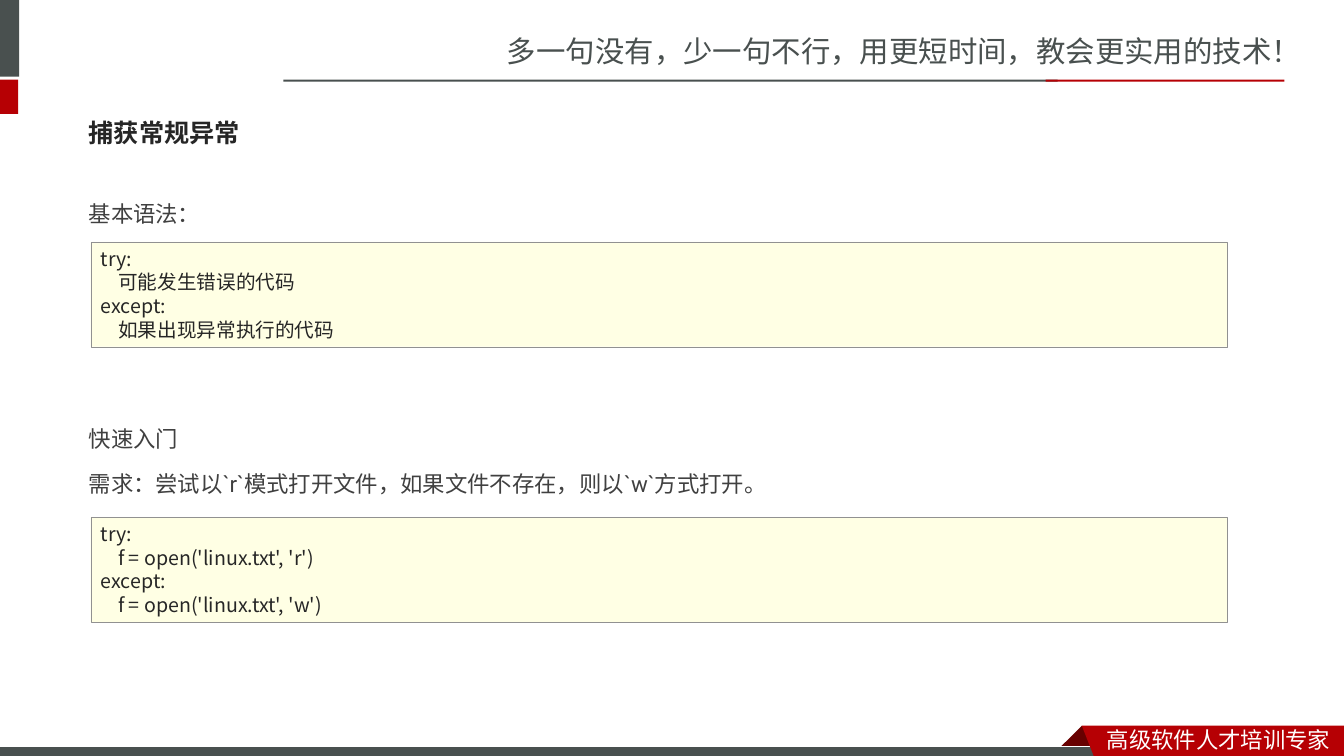
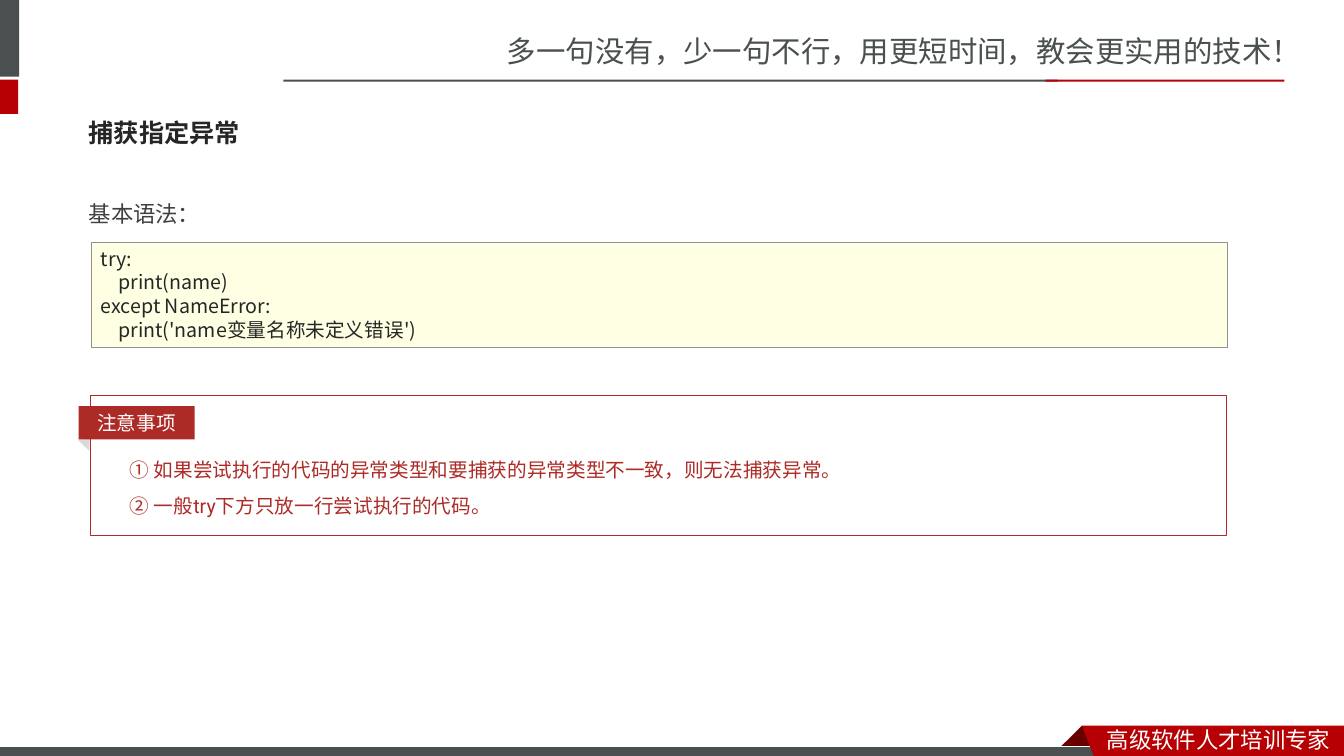
from dataclasses import dataclass

from lxml import etree
from pptx import Presentation
from pptx.dml.color import RGBColor
from pptx.enum import shapes, text
from pptx.oxml import ns
from pptx.util import Inches, Pt


@dataclass(frozen=True)
class Theme:
    # Colours
    slate: str = "49504F"
    red: str = "B60004"
    fold: str = "680000"
    white: str = "FFFFFF"
    ink: str = "262626"
    body: str = "404040"
    code: str = "FFFFE4"
    edge: str = "919191"
    note: str = "AD2B26"
    shade: str = "D9D9D9"
    # Fonts
    sans: str = "Noto Sans CJK SC"
    mono: str = "Noto Sans CJK JP"
    latin: str = "Roboto"
    # Type sizes
    motto: int = 21
    head: int = 18
    text: int = 16
    small: int = 14


T = Theme()
RECT = shapes.MSO_SHAPE.RECTANGLE
TRI = shapes.MSO_SHAPE.ISOSCELES_TRIANGLE
LEFT, MID = text.PP_ALIGN.LEFT, text.PP_ALIGN.CENTER


def span(box):
    return [Inches(v) for v in box]


def place(shape, box):
    shape.left, shape.top, shape.width, shape.height = span(box)


def paint(shape, fill=None, line=None, width=0.75):
    shape.shadow.inherit = False
    if fill:
        shape.fill.solid()
        shape.fill.fore_color.rgb = RGBColor.from_string(fill)
    else:
        shape.fill.background()
    if line:
        shape.line.color.rgb = RGBColor.from_string(line)
        shape.line.width = Pt(width)
    else:
        shape.line.fill.background()
    return shape


def block(slide, box, fill=None, line=None, width=0.75, kind=RECT):
    return paint(slide.shapes.add_shape(kind, *span(box)), fill, line, width)


def outline(slide, points, fill):
    pen = slide.shapes.build_freeform(*span(points[0]))
    pen.add_line_segments([span(p) for p in points[1:]])
    return paint(pen.convert_to_shape(), fill)


def write(shape, lines, size, color, font, bold=False, align=LEFT,
          anchor=text.MSO_ANCHOR.TOP, pitch=None, gaps=(), wrap=True):
    """Fill a shape with one paragraph per line; gaps are points before each."""
    frame = shape.text_frame
    frame.auto_size = text.MSO_AUTO_SIZE.NONE
    frame.word_wrap = wrap
    frame.vertical_anchor = anchor
    for i, line in enumerate(lines):
        para = frame.add_paragraph() if i else frame.paragraphs[0]
        props = para._p.get_or_add_pPr()
        props.set("marL", "0")
        props.set("indent", "0")
        etree.SubElement(props, ns.qn("a:buNone"))
        para.alignment = align
        para.space_before = Pt(gaps[i] if i < len(gaps) else 0)
        if pitch:
            para.line_spacing = pitch
        run = para.add_run()
        run.text = line
        run.font.name = font
        run.font.size = Pt(size)
        run.font.bold = bold
        run.font.color.rgb = RGBColor.from_string(color)
        east = etree.SubElement(run._r.get_or_add_rPr(), ns.qn("a:ea"))
        east.set("typeface", T.sans if font == T.latin else font)


def label(slide, box, line, size, color):
    shape = slide.shapes.add_textbox(*span(box))
    write(shape, [line], size, color, T.sans, wrap=False)
    return shape


def header(slide):
    """Motto, rules and corner blocks."""
    return [
        label(slide, (4.93, 0.28, 8.41, 0.45),
              "多一句没有，少一句不行，用更短时间，教会更实用的技术！", T.motto, T.slate),
        block(slide, (-0.06, 0, 0.25, 0.76), T.slate),
        block(slide, (-0.06, 0.79, 0.24, 0.34), T.red),
        block(slide, (2.81, 0.79, 7.68, 0.02), T.slate),
        block(slide, (10.37, 0.79, 2.37, 0.02), T.red),
    ]


def footer(slide):
    """Bottom band with the folded ribbon."""
    return [
        outline(slide, [(10.73, 7.2), (10.95, 7.42), (10.94, 7.43),
                        (10.52, 7.43), (10.51, 7.42)], T.fold),
        block(slide, (-0.01, 7.41, 11, 0.12), T.slate, T.white),
        outline(slide, [(10.73, 7.2), (13.33, 7.2), (13.33, 7.54),
                        (10.86, 7.53)], T.red),
        label(slide, (10.88, 7.15, 2.45, 0.37), "高级软件人才培训专家",
              T.text, T.white),
    ]


def share(slide, layout):
    """Draw header and footer, then move them to the layout."""
    for i, part in enumerate(header(slide) + footer(slide), 50):
        part.element.nvSpPr.cNvPr.set("id", str(i))
        layout.shapes.element.append(part.element)


def topic(slide, title, lines, gaps=()):
    """Heading and body text."""
    head, body = slide.shapes.title, slide.placeholders[1]
    place(head, (0.78, 1.03, 11.76, 0.57))
    write(head, [title], T.head, T.ink, T.mono, bold=True,
          anchor=text.MSO_ANCHOR.MIDDLE)
    place(body, (0.78, 1.8, 11.76, 4.61))
    write(body, lines, T.text, T.body, T.latin, pitch=1.5, gaps=gaps)


def code(slide, top, lines):
    """Code panel."""
    panel = block(slide, (0.9, top, 11.27, 1.04), T.code, T.edge, 0.25)
    write(panel, lines, T.small, T.ink, T.mono)


def notice(slide, box, title, lines):
    """Framed notes with a tag on the left edge."""
    x, y, w, h = box
    fold = block(slide, (x - 0.12, y + 0.42, 0.16, 0.09), T.shade, kind=TRI)
    fold.rotation = 44.2
    notes = slide.shapes.add_textbox(*span((x + 0.29, y + 0.46, w - 0.58, 0.77)))
    write(notes, lines, T.small, T.note, T.latin, pitch=1.5)
    block(slide, box, line=T.note)
    tag = block(slide, (x - 0.12, y + 0.11, 1.15, 0.33), T.note)
    write(tag, [title], T.small, T.white, T.latin, align=MID,
          anchor=text.MSO_ANCHOR.MIDDLE)


def main():
    deck = Presentation()
    deck.slide_width, deck.slide_height = Inches(13.33), Inches(7.5)
    layout = deck.slide_layouts[1]

    # Catching any exception
    slide = deck.slides.add_slide(layout)
    share(slide, layout)
    topic(slide, "捕获常规异常",
          ["基本语法：", "快速入门",
           "需求：尝试以`r`模式打开文件，如果文件不存在，则以`w`方式打开。"],
          gaps=(0, 132, 3.2))
    code(slide, 2.4, ["try:", "    可能发生错误的代码",
                      "except:", "    如果出现异常执行的代码"])
    code(slide, 5.13, ["try:", "    f = open('linux.txt', 'r')",
                       "except:", "    f = open('linux.txt', 'w')"])

    # Catching a named exception
    slide = deck.slides.add_slide(layout)
    topic(slide, "捕获指定异常", ["基本语法："])
    code(slide, 2.4, ["try:", "    print(name)", "except NameError:",
                      "    print('name变量名称未定义错误')"])
    notice(slide, (0.9, 3.92, 11.27, 1.39), "注意事项",
           ["① 如果尝试执行的代码的异常类型和要捕获的异常类型不一致，则无法捕获异常。",
            "② 一般try下方只放一行尝试执行的代码。"])

    deck.save("out.pptx")


if __name__ == "__main__":
    main()
